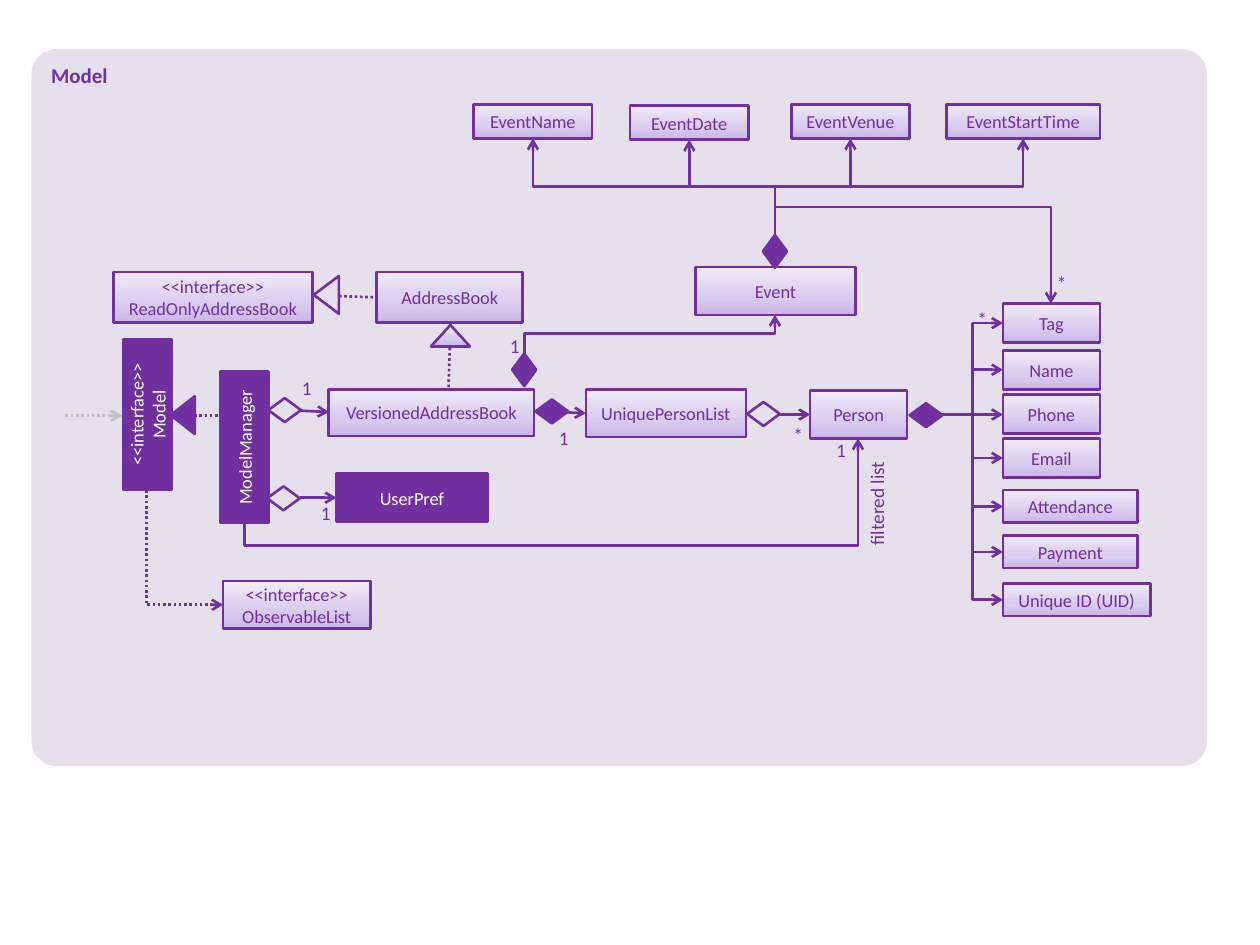
import copy
import pptx
import pptx.dml.color
import pptx.enum.dml
import pptx.enum.shapes
import pptx.enum.text
import pptx.oxml
import pptx.oxml.ns
import pptx.util

RGB = pptx.dml.color.RGBColor
INK = RGB(0x70, 0x30, 0xA0)
PALE = RGB(0xE6, 0xE0, 0xEC)
GREY = RGB(0xBF, 0xBF, 0xBF)
WHITE = RGB(0xFF, 0xFF, 0xFF)
FADE = ((0, RGB(0xC9, 0xB5, 0xE8)), (0.35, RGB(0xD8, 0xCB, 0xEE)), (1, RGB(0xF0, 0xEA, 0xF9)))
COLS, ROWS = 1000, 750
KIND = pptx.enum.shapes.MSO_SHAPE
JOIN = pptx.enum.shapes.MSO_CONNECTOR
ALIGN = pptx.enum.text.PP_ALIGN
ANCHOR = pptx.enum.text.MSO_ANCHOR
DOTS = pptx.enum.dml.MSO_LINE.ROUND_DOT
QN = pptx.oxml.ns.qn


def cell(count):
    """Turn a count of grid cells into a length; one cell is 1/1000 of the width."""
    return pptx.util.Inches(10 * count / COLS)


def style(item, values):
    """Set each attribute of item from a dict."""
    for name, value in values.items():
        setattr(item, name, value)


def write(shape, text, size, ink=INK, align=ALIGN.CENTER, bold=False, **frame):
    """Put formatted text in a shape."""
    style(shape.text_frame, {"text": text, "word_wrap": True, **frame})
    for para in shape.text_frame.paragraphs:
        para.alignment = align
        for run in para.runs:
            style(run.font, {"name": "Calibri", "size": pptx.util.Pt(size), "bold": bold})
            run.font.color.rgb = ink


def paint(shape, fill):
    """Fill with a colour, the three-stop fade, or nothing."""
    if fill is None:
        shape.fill.background()
    elif fill is FADE:
        shape.fill.gradient()
        shape.fill.gradient_angle = 90
        stops = shape.element.spPr.find(".//" + QN("a:gsLst"))
        stops.insert(1, copy.deepcopy(stops[0]))
        for stop, (share, tone) in zip(shape.fill.gradient_stops, FADE):
            stop.position = share
            stop.color.rgb = tone
    else:
        shape.fill.solid()
        shape.fill.fore_color.rgb = fill


class Pad:
    """A region of the grid; its parts are placed from its top left corner."""

    def __init__(self, shapes, left, top):
        self.shapes, self.left, self.top = shapes, left, top

    def place(self, x, y):
        """Give the slide lengths of a point in the region."""
        return cell(self.left + x), cell(self.top + y)

    def draw(self, kind, box, fill=FADE, turn=0, edge=INK):
        """Draw a preset shape."""
        x, y, wide, high = box
        shape = self.shapes.add_shape(kind, *self.place(x, y), cell(wide), cell(high))
        style(shape, {"rotation": turn})
        shape.shadow.inherit = False
        paint(shape, fill)
        if edge is None:
            shape.line.fill.background()
        else:
            shape.line.color.rgb = edge
            shape.line.width = pptx.util.Pt(1.5)
        return shape

    def block(self, text, box, fill=FADE, turn=0):
        """Draw a class box with its name."""
        shape = self.draw(KIND.RECTANGLE, box, fill, turn)
        write(shape, text, 10.5, INK if fill is FADE else WHITE, vertical_anchor=ANCHOR.MIDDLE)

    def gem(self, x, y, fill=None, turn=0):
        """Draw a diamond: filled for composition, open for aggregation."""
        self.draw(KIND.FLOWCHART_DECISION, (x, y, 26, 19), fill, turn)

    def note(self, text, x, y):
        """Write a multiplicity."""
        label = self.shapes.add_textbox(*self.place(x, y), cell(21), cell(20))
        sides = ("left", "top", "right", "bottom")
        write(label, text, 11, **{"margin_" + side: 0 for side in sides})

    def link(self, start, end, bend=None, upright=False, corner=False,
             dots=False, arrow=True, ink=INK):
        """Join two points; bend is the share of the way at which it turns."""
        (x1, y1), (x2, y2) = start, end
        dx, dy = x2 - x1, y2 - y1
        turn = 0
        if upright:
            turn = 270 if dx * dy > 0 else 90
            sign = 1 if turn == 90 else -1
            midx, midy = (x1 + x2) / 2, (y1 + y2) / 2
            halfx, halfy = sign * dy / 2, -sign * dx / 2
            x1, y1, x2, y2 = midx - halfx, midy - halfy, midx + halfx, midy + halfy
        straight = bend is None and not corner
        line = self.shapes.add_connector(
            JOIN.STRAIGHT if straight else JOIN.ELBOW, *self.place(x1, y1), *self.place(x2, y2))
        props = line.element.spPr
        if turn:
            props.find(QN("a:xfrm")).set("rot", str(turn * 60000))
        shape = props.find(QN("a:prstGeom"))
        if corner:
            shape.set("prst", "bentConnector2")
        elif not straight:
            guides = shape.find(QN("a:avLst"))
            guide = pptx.oxml.parse_xml(
                f'<a:gd {pptx.oxml.ns.nsdecls("a")} name="adj1" fmla="val {round(bend * 100000)}"/>')
            guides.append(guide)
        line.line.color.rgb = ink
        line.line.width = pptx.util.Pt(1.5)
        if dots:
            line.line.dash_style = DOTS
        tags = [("a:effectLst", props)]
        if arrow:
            tags.append(("a:tailEnd type='arrow'", props.find(QN("a:ln"))))
        for tag, parent in tags:
            name, _, rest = tag.partition(" ")
            parent.append(pptx.oxml.parse_xml(f'<{name} {pptx.oxml.ns.nsdecls("a")} {rest}/>'))


def panel(slide, box):
    """Draw the rounded ground and set the slide title in its corner."""
    left, top, wide, high = box
    pad = Pad(slide.shapes, left, top)
    ground = pad.draw(KIND.ROUNDED_RECTANGLE, (0, 0, wide, high), PALE, edge=None)
    ground.adjustments[0] = 0.035
    title = slide.shapes.title
    title.element.addprevious(ground.element)
    x, y = pad.place(5.5, 6)
    style(title, {"left": x, "top": y, "width": cell(120), "height": cell(30)})
    write(title, "Model", 12, align=ALIGN.LEFT, bold=True, vertical_anchor=ANCHOR.TOP,
          auto_size=pptx.enum.text.MSO_AUTO_SIZE.NONE)


def events(pad):
    """Draw the event class and its four fields."""
    root = (239, 103)
    for name, x, y, wide in (("EventName", 0, 0, 94), ("EventDate", 124, 1, 94),
                             ("EventVenue", 252, 0, 94), ("EventStartTime", 375, 0, 122)):
        pad.block(name, (x, y, wide, 27))
        pad.link(root, (x + wide / 2, y + 27), 0.5, upright=True)
    pad.link(root, (458, 158), -0.393, upright=True)
    pad.block("Event", (176, 129, 127, 38))
    pad.gem(226, 107, INK, 270)
    pad.note("*", 456, 132)


def fields(pad):
    """Draw the person's fields on one trunk."""
    hub = (26, 9)
    for name, y, wide, high in (("Tag", -79, 77, 31), ("Name", -42, 77, 31),
                                ("Phone", -7, 77, 31), ("Email", 28, 77, 31),
                                ("Attendance", 69, 107, 26), ("Payment", 105, 107, 26),
                                ("Unique ID (UID)", 143, 117, 26)):
        pad.block(name, (74, y, wide, high))
        mid = y + high / 2
        level = abs(mid - hub[1]) < 2
        pad.link(hub, (74, hub[1] if level else mid), None if level else 0.5)
    pad.gem(0, 0, INK)
    pad.note("*", 47, -76)


def core(pad):
    """Draw the model manager, the books and the person list."""
    for text, box, fill, turn in (
            ("UserPref", (217, 176, 120, 38), INK, 0),
            ("ModelManager", (84, 136, 120, 38), INK, 270),
            ("<<interface>>\nModel", (7, 110, 120, 38), INK, 270),
            ("VersionedAddressBook", (211, 109, 163, 37), FADE, 0),
            ("UniquePersonList", (415, 109, 127, 38), FADE, 0),
            ("Person", (593, 110, 77, 38), FADE, 0),
            ("<<interface>>\vReadOnlyAddressBook", (40, 16, 158, 40), FADE, 0),
            ("AddressBook", (249, 16, 116, 40), FADE, 0),
            ("<<interface>>\vObservableList", (127, 261, 117, 38), FADE, 0)):
        pad.block(text, box, fill, turn)
    for start, end in (((188, 195), (217, 195)), ((189, 126), (211, 127)),
                       ((375, 126), (415, 128)), ((569, 129), (593, 129))):
        pad.link(start, end)
    for start, end in (((104, 130), (128, 130)), ((307, 76), (306, 108)),
                       ((219, 35), (249, 36))):
        pad.link(start, end, dots=True, arrow=False)
    pad.link((2, 130), (47, 130), dots=True, ink=GREY)
    pad.link((144, 215), (631, 148), -0.267, upright=True)
    pad.link((366, 80), (565, 50), 0.5, upright=True)
    pad.link((66, 189), (127, 280), upright=True, corner=True, dots=True)
    for box, fill, turn in (((80, 120, 30, 19), INK, 270), ((292, 58, 31, 17), FADE, 0),
                            ((194, 24, 30, 20), PALE, 270)):
        pad.draw(KIND.ISOSCELES_TRIANGLE, box, fill, turn)
    for x, y, fill, turn in ((162, 186, None, 0), (163, 116, None, 0), (375, 117, INK, 0),
                             (543, 119, None, 0), (353, 84, INK, 90)):
        pad.gem(x, y, fill, turn)
    for text, x, y in (("1", 387, 138), ("*", 573, 136), ("1", 183, 99),
                       ("1", 198, 198), ("1", 607, 148), ("1", 348, 65)):
        pad.note(text, x, y)
    label = pad.shapes.add_textbox(*pad.place(598, 190), cell(96), cell(29))
    label.rotation = 270
    write(label, "filtered list", 11, align=ALIGN.RIGHT)


def main():
    """Build the slide and save it."""
    deck = pptx.Presentation()
    style(deck, {"slide_width": cell(COLS), "slide_height": cell(ROWS)})
    slide = deck.slides.add_slide(deck.slide_layouts[5])
    panel(slide, (25, 39, 933, 569))
    core(Pad(slide.shapes, 50, 200))
    events(Pad(slide.shapes, 376, 83))
    fields(Pad(slide.shapes, 722, 320))
    deck.save("out.pptx")


main()
